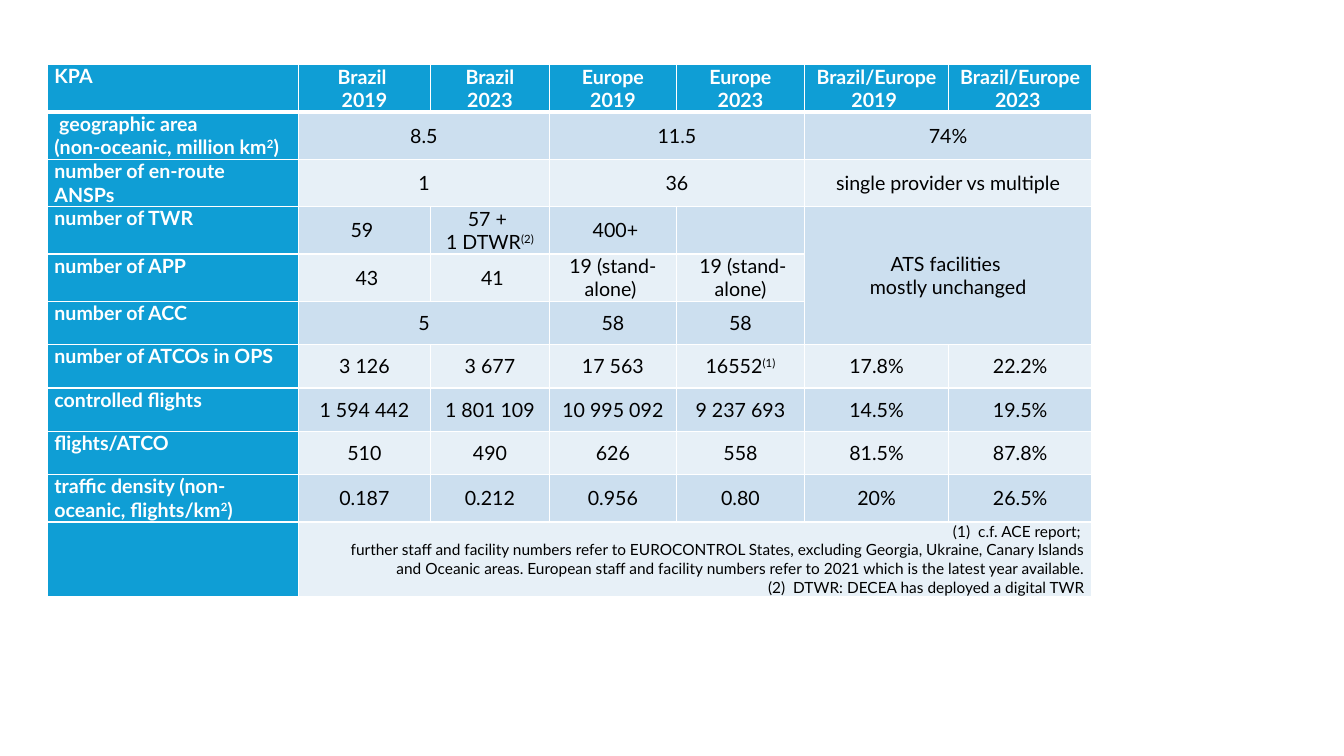
from lxml.etree import SubElement
from pptx import Presentation
from pptx.dml.color import RGBColor
from pptx.enum.text import MSO_ANCHOR, PP_ALIGN
from pptx.oxml.ns import qn
from pptx.util import Inches, Pt

COLORS = {"label": "0F9ED5", "dark_band": "CCDFEF", "light_band": "E7F0F7",
          "white": "FFFFFF", "black": "000000"}
COLUMN_WIDTHS = [2.49, 1.31, 1.18, 1.26, 1.27, 1.43, 1.42]
ROW_HEIGHTS = [0.47] * 5 + [0.43] * 4 + [0.47, 0.74]
FOOTNOTES = (
    "c.f. ACE report; |further staff and facility numbers refer to EUROCONTROL States, "
    "excluding Georgia, Ukraine, Canary Islands and Oceanic areas. European staff and "
    "facility numbers refer to 2021 which is the latest year available.\n"
    "DTWR: DECEA has deployed a digital TWR"
)
ROWS = [
    ["KPA", "Brazil \n2019", "Brazil\n2023", " Europe \n2019", " Europe \n2023",
     "Brazil/Europe\n2019 ", "Brazil/Europe\n2023 "],
    [" geographic area|(non-oceanic, million km^2^)", " 8.5 ", "", " 11.5 ", "", "74%", ""],
    ["number of en-route|ANSPs", "1", "", "36", "", "single provider vs multiple", ""],
    ["number of TWR", "59 ", "57 + |1 DTWR^(2)^", " 400+", "",
     "ATS facilities \nmostly unchanged", ""],
    ["number of APP", " 43", " 41", "19 (stand-alone) ", " 19 (stand-alone)", "", ""],
    ["number of ACC", "5", "", "58", "58", "", ""],
    ["number of ATCOs in OPS", "3 126", "3 677", "17 563", "16552^(1)^", "17.8%", "22.2%"],
    ["controlled flights", "1 594 442", "1 801 109", "10 995 092", "9 237 693",
     "14.5%", "19.5%"],
    ["flights/ATCO", "510", "490", "626", "558", "81.5%", "87.8%"],
    ["traffic density (non-oceanic, flights/km^2^)", "0.187", "0.212", "0.956", "0.80",
     "20%", "26.5%"],
    ["", FOOTNOTES, "", "", "", "", ""],
]
MERGES = [(row, column, row, column + 1) for row in (1, 2) for column in (1, 3, 5)]
MERGES += [(3, 5, 5, 6), (5, 1, 5, 2), (10, 1, 10, 6)]


def write_text(frame, text, *, size=14, color="black", bold=False,
               align=PP_ALIGN.CENTER, numbered=False):
    """Write paragraphs split by newlines, with | as line break and ^ around superscripts."""
    for index, line in enumerate(text.split("\n")):
        para = frame.add_paragraph() if index else frame.paragraphs[0]
        para.alignment = align
        if numbered:
            number_paragraph(para)
        for position, part in enumerate(line.split("|")):
            if position:
                para.add_line_break()
            for order, piece in enumerate(part.split("^")):
                if not piece:
                    continue
                span = para.add_run()
                span.text = piece
                span.font.name = "Lato"
                span.font.size = Pt(size)
                span.font.bold = bold
                span.font.color.rgb = RGBColor.from_string(COLORS[color])
                if order % 2:
                    span._r.get_or_add_rPr().set("baseline", "30000")


def number_paragraph(para):
    """Give a paragraph a hanging number in parentheses."""
    properties = para._p.get_or_add_pPr()
    properties.set("marL", str(Inches(0.25)))
    properties.set("indent", str(Inches(-0.25)))
    SubElement(properties, qn("a:buAutoNum"), type="arabicParenBoth")


def draw_borders(cell, bottom):
    """Draw white lines on all four sides of a cell."""
    properties = cell._tc.get_or_add_tcPr()
    for side, width in {"L": 1, "R": 1, "T": 1, "B": bottom}.items():
        line = SubElement(properties, qn(f"a:ln{side}"), w=str(Pt(width)))
        fill = SubElement(line, qn("a:solidFill"))
        SubElement(fill, qn("a:srgbClr"), val=COLORS["white"])


def format_cell(cell, row, column):
    """Set the borders, fill, margins and anchor of a cell."""
    draw_borders(cell, bottom=1 if row else 3)
    band = "dark_band" if row % 2 else "light_band"
    fill = "label" if row == 0 or column == 0 else band
    cell.fill.solid()
    cell.fill.fore_color.rgb = RGBColor.from_string(COLORS[fill])
    cell.margin_left = cell.margin_right = Inches(0.07)
    cell.margin_top = cell.margin_bottom = Inches(0)
    cell.vertical_anchor = MSO_ANCHOR.MIDDLE if column else MSO_ANCHOR.TOP


def text_format(row, column):
    """Return the text format for a place in the table."""
    if column == 0:
        return {"color": "white", "bold": True, "align": PP_ALIGN.LEFT}
    if row == 0:
        return {"color": "white", "bold": True}
    if row == len(ROWS) - 1:
        return {"size": 11, "align": PP_ALIGN.RIGHT, "numbered": True}
    return {}


def add_comparison_table(page):
    """Add the table that compares Brazil and Europe."""
    table = page.shapes.add_table(
        len(ROWS), len(COLUMN_WIDTHS), Inches(0.47), Inches(0.64),
        Inches(sum(COLUMN_WIDTHS)), Inches(sum(ROW_HEIGHTS))).table
    for column, width in zip(table.columns, COLUMN_WIDTHS):
        column.width = Inches(width)
    for row, height in zip(table.rows, ROW_HEIGHTS):
        row.height = Inches(height)
    for top, left, bottom, right in MERGES:
        table.cell(top, left).merge(table.cell(bottom, right))
    for row, texts in enumerate(ROWS):
        for column, text in enumerate(texts):
            cell = table.cell(row, column)
            format_cell(cell, cell.is_spanned and 3 <= row <= 5 and column > 4 and 3 or row, column)
            if text:
                write_text(cell.text_frame, text, **text_format(row, column))


def main():
    """Build the slide and save the deck."""
    deck = Presentation()
    deck.slide_width, deck.slide_height = Inches(13.33), Inches(7.5)
    page = deck.slides.add_slide(deck.slide_layouts[6])
    add_comparison_table(page)
    deck.save("out.pptx")


if __name__ == "__main__":
    main()
